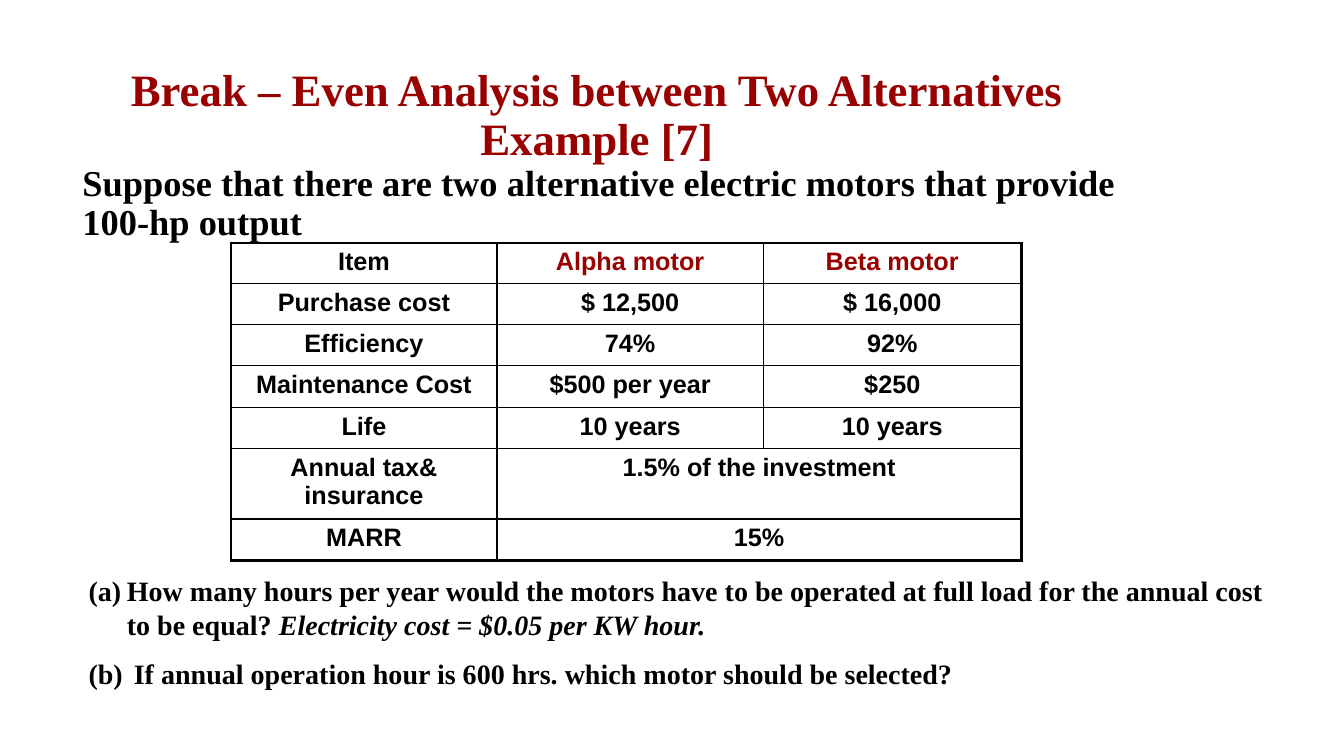
"""Build the slide on break-even analysis between two electric motors."""
from lxml import etree
from pptx import Presentation
from pptx.dml.color import RGBColor
from pptx.enum.text import MSO_ANCHOR, MSO_AUTO_SIZE, PP_ALIGN
from pptx.oxml.ns import qn
from pptx.util import Inches, Pt

CENTER = PP_ALIGN.CENTER
LEFT = PP_ALIGN.LEFT
MIDDLE = MSO_ANCHOR.MIDDLE
TOP = MSO_ANCHOR.TOP
NO_AUTO_SIZE = MSO_AUTO_SIZE.NONE
TITLE_ONLY = 5

BLACK = "000000"
DARK_RED = "990000"
SERIF = "Times New Roman"

TITLE = "Break – Even Analysis between Two Alternatives Example [7]"
INTRO = "Suppose that there are two alternative electric motors that provide 100-hp output"
QUESTIONS = [
    [("How many hours per year would the motors have to be operated at full load "
      "for the annual cost to be equal? ", False),
     ("Electricity cost = $0.05 per KW hour.", True)],
    [(" If annual operation hour is 600 hrs. which motor should be selected?", False)],
]
MOTOR_ROWS = [
    ("Item", "Alpha motor", "Beta motor"),
    ("Purchase cost", "$ 12,500", "$ 16,000"),
    ("Efficiency", "74%", "92%"),
    ("Maintenance Cost", "$500 per year", "$250"),
    ("Life", "10 years", "10 years"),
    ("Annual tax& insurance", "1.5% of the investment"),
    ("MARR", "15%"),
]
COLUMN_WIDTHS = [2.64, 2.64, 2.56]
ROW_HEIGHTS = [0.4, 0.41, 0.41, 0.41, 0.41, 0.7, 0.41]

TITLE_BOX = (0.92, 0.43, 10, 1.45)
INTRO_BOX = (0.47, 1.59, 11.27, 1)
TABLE_BOX = (2.29, 2.41, sum(COLUMN_WIDTHS), sum(ROW_HEIGHTS))
QUESTION_BOX = (0.78, 5.64, 12.08, 1.78)

OUTER_BORDER = 2.25
INNER_BORDER = 1


def rgb(value):
    return RGBColor.from_string(value)


def add_run(paragraph, text, size, color=BLACK, name=SERIF, italic=False):
    run = paragraph.add_run()
    run.text = text
    run.font.color.rgb = rgb(color)
    values = {"size": Pt(size), "name": name, "bold": True, "italic": italic}
    for attribute, value in values.items():
        setattr(run.font, attribute, value)


def prepare_frame(frame, anchor):
    values = {"word_wrap": True, "auto_size": NO_AUTO_SIZE, "vertical_anchor": anchor}
    for attribute, value in values.items():
        setattr(frame, attribute, value)
    return frame


def add_text_box(slide, box):
    shape = slide.shapes.add_textbox(*map(Inches, box))
    return prepare_frame(shape.text_frame, TOP)


def set_indent(paragraph, margin, indent):
    properties = paragraph._p.get_or_add_pPr()
    properties.set("marL", str(Inches(margin)))
    properties.set("indent", str(Inches(indent)))
    return properties


def add_title(slide):
    title = slide.shapes.title
    title.left, title.top, title.width, title.height = map(Inches, TITLE_BOX)
    paragraph = prepare_frame(title.text_frame, MIDDLE).paragraphs[0]
    paragraph.alignment = CENTER
    paragraph.line_spacing = 0.9
    add_run(paragraph, TITLE, 32, DARK_RED)


def add_intro(slide):
    paragraph = add_text_box(slide, INTRO_BOX).paragraphs[0]
    set_indent(paragraph, 0.25, 0)
    paragraph.line_spacing = 0.9
    add_run(paragraph, INTRO, 26)


def set_borders(cell, widths):
    properties = cell._tc.get_or_add_tcPr()
    for side, width in zip("LRTB", widths):
        line = etree.SubElement(properties, qn(f"a:ln{side}"), w=str(Pt(width)))
        fill = etree.SubElement(line, qn("a:solidFill"))
        etree.SubElement(fill, qn("a:srgbClr"), val=BLACK)


def add_motor_table(slide):
    row_count, column_count = len(ROW_HEIGHTS), len(COLUMN_WIDTHS)
    frame = slide.shapes.add_table(row_count, column_count, *map(Inches, TABLE_BOX))
    table = frame.table
    table.first_row = table.horz_banding = False
    for column, width in zip(table.columns, COLUMN_WIDTHS):
        column.width = Inches(width)
    for row_index, texts in enumerate(MOTOR_ROWS):
        table.rows[row_index].height = Inches(ROW_HEIGHTS[row_index])
        merged = len(texts) < column_count
        if merged:
            table.cell(row_index, 1).merge(table.cell(row_index, column_count - 1))
        for column_index in range(column_count):
            cell = table.cell(row_index, column_index)
            last_column = column_index == column_count - 1 or merged and column_index == 1
            at_edge = (column_index == 0, last_column,
                       row_index == 0, row_index == row_count - 1)
            set_borders(cell, [OUTER_BORDER if edge else INNER_BORDER for edge in at_edge])
            cell.fill.background()
            if column_index < len(texts):
                paragraph = cell.text_frame.paragraphs[0]
                paragraph.alignment = CENTER
                color = DARK_RED if row_index == 0 and column_index else BLACK
                add_run(paragraph, texts[column_index], 18, color, "Arial")


def add_questions(slide):
    frame = add_text_box(slide, QUESTION_BOX)
    for index, parts in enumerate(QUESTIONS):
        paragraph = frame.add_paragraph() if index else frame.paragraphs[0]
        properties = set_indent(paragraph, 0.38, -0.38)
        etree.SubElement(properties, qn("a:buAutoNum"), type="alphaLcParenBoth")
        paragraph.alignment = LEFT
        if index:
            paragraph.space_before = Pt(11.5)
        for text, italic in parts:
            add_run(paragraph, text, 20, italic=italic)


def main():
    presentation = Presentation()
    presentation.slide_width = Inches(13.33)
    presentation.slide_height = Inches(7.5)
    slide = presentation.slides.add_slide(presentation.slide_layouts[TITLE_ONLY])
    add_intro(slide)
    add_motor_table(slide)
    add_questions(slide)
    add_title(slide)
    presentation.save("out.pptx")


if __name__ == "__main__":
    main()
